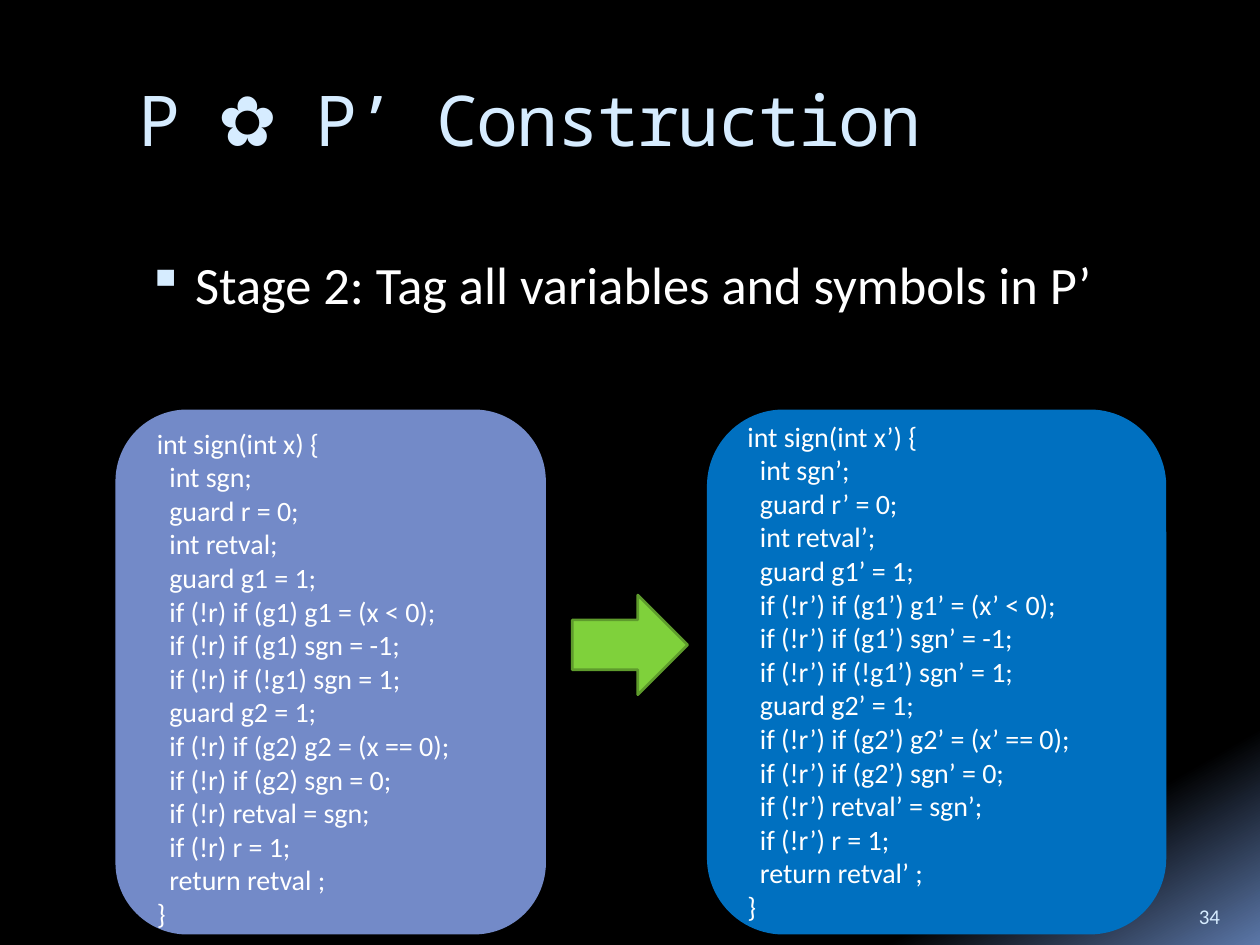
from lxml.etree import SubElement
from pptx import Presentation
from pptx.dml.color import RGBColor
from pptx.enum.shapes import MSO_SHAPE
from pptx.enum.text import MSO_ANCHOR
from pptx.oxml import parse_xml
from pptx.oxml.ns import nsdecls, qn
from pptx.util import Pt

COLORS = {
    "black": "000000",
    "glow": "5B77A8",
    "pale": "D6ECFF",
    "white": "FFFFFF",
    "before": "738AC8",
    "after": "0070C0",
    "arrow": "7FD13B",
    "arrow_edge": "5E9B2C",
}

TAGGED_CODE = """int sign(int x’) {
  int sgn’;
  guard r’ = 0;
  int retval’;
  guard g1’ = 1;
  if (!r’) if (g1’) g1’ = (x’ < 0);
  if (!r’) if (g1’) sgn’ = -1;
  if (!r’) if (!g1’) sgn’ = 1;
  guard g2’ = 1;
  if (!r’) if (g2’) g2’ = (x’ == 0);
  if (!r’) if (g2’) sgn’ = 0;
  if (!r’) retval’ = sgn’;
  if (!r’) r = 1;
  return retval’ ;
}"""
PLAIN_CODE = TAGGED_CODE.replace("’", "")


def rgb(name):
    return RGBColor.from_string(COLORS[name])


def add_text(shapes, box, lines, size, color="white", font="Calibri", anchor=MSO_ANCHOR.TOP):
    tf = shapes.add_textbox(*map(Pt, box)).text_frame
    tf.word_wrap = True
    tf.vertical_anchor = anchor
    for i, line in enumerate(lines):
        p = tf.add_paragraph() if i else tf.paragraphs[0]
        p.text = line
        p.font.size = Pt(size)
        p.font.name = font
        p.font.color.rgb = rgb(color)
    return tf


def add_preset(shapes, kind, box, fill):
    sp = shapes.add_shape(kind, *map(Pt, box))
    sp.shadow.inherit = False
    sp.fill.solid()
    sp.fill.fore_color.rgb = rgb(fill)
    sp.line.fill.background()
    return sp


def paint_background(s):
    fill = s.background.fill
    fill.gradient()
    fill.gradient_angle = 300
    stops = "".join(
        f'<a:gs pos="{pos * 1000}"><a:srgbClr val="{COLORS[name]}"/></a:gs>'
        for pos, name in ((65, "black"), (87, "black"), (100, "glow"))
    )
    old = next(s.background._cSld.iter(qn("a:gsLst")))
    old.getparent().replace(old, parse_xml(f'<a:gsLst {nsdecls("a")}>{stops}</a:gsLst>'))


def add_title(s, box):
    tf = add_text(s.shapes, box, ["P ✿ P’ Construction"], 40, "pale", "Noto Sans Mono")
    for r in tf.paragraphs[0].runs:
        r.font._element.set("spc", "-100")


def add_bullet(s, box):
    tf = add_text(s.shapes, box, ["Stage 2: Tag all variables and symbols in P’"], 30)
    p = tf.paragraphs[0]
    p.space_before = Pt(7)
    pPr = p._p.get_or_add_pPr()
    pPr.set("marL", str(Pt(32.4)))
    pPr.set("indent", str(-Pt(27.4)))
    bullet = [
        f'<a:buClr {nsdecls("a")}><a:srgbClr val="{COLORS["pale"]}"/></a:buClr>',
        f'<a:buSzPct {nsdecls("a")} val="95000"/>',
        f'<a:buChar {nsdecls("a")} char="▪"/>',
    ]
    place = list(pPr).index(pPr.find(qn("a:spcBef"))) + 1
    for i, xml in enumerate(bullet):
        pPr.insert(place + i, parse_xml(xml))


def add_code_panel(s, box, fill, code, dx, dy, width):
    left, top, _, height = box
    shapes = s.shapes.add_group_shape().shapes
    add_preset(shapes, MSO_SHAPE.ROUNDED_RECTANGLE, box, fill)
    lines = code.split("\n")
    tf = add_text(shapes, (left + dx, top + dy, width, height - 2), [t.strip() for t in lines], 16)
    for p, line in zip(tf.paragraphs, lines):
        if line.startswith(" "):
            p._p.get_or_add_pPr().set("marL", str(Pt(7.2)))


def add_arrow(s, box):
    sp = add_preset(s.shapes, MSO_SHAPE.RIGHT_ARROW, box, "arrow")
    sp.line.color.rgb = rgb("arrow_edge")
    sp.line.width = Pt(1.5)


def add_slide_number(s, box):
    tf = add_text(s.shapes, box, [""], 12, "pale", anchor=MSO_ANCHOR.BOTTOM)
    p = tf.paragraphs[0]
    for r in p.runs:
        p._p.remove(r._r)
    p.add_run().text = "34"


def main():
    prs = Presentation()
    prs.slide_width, prs.slide_height = Pt(720), Pt(540)
    s = prs.slides.add_slide(prs.slide_layouts[6])
    paint_background(s)
    add_title(s, (72, 40, 612, 72))
    add_bullet(s, (72, 140.4, 612, 360))
    add_code_panel(s, (404, 234, 262.5, 300), "after", TAGGED_CODE, 16, 2, 257)
    add_code_panel(s, (66, 234, 246, 300), "before", PLAIN_CODE, 16.5, 6, 217.5)
    add_arrow(s, (327, 340, 66, 57))
    add_slide_number(s, (678, 505.5, 36, 28.8))
    prs.save("out.pptx")


if __name__ == "__main__":
    main()
